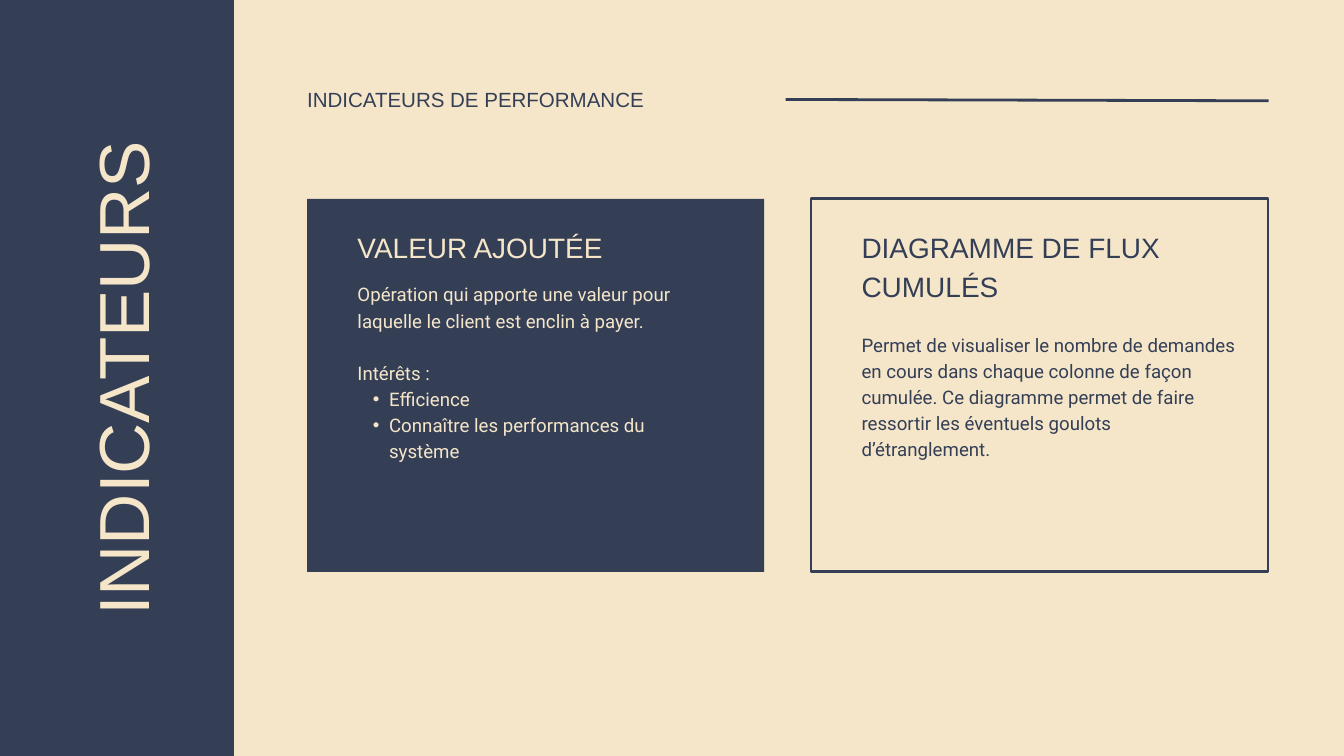
from lxml import etree
from pptx import Presentation
from pptx.dml.color import RGBColor
from pptx.enum.shapes import MSO_CONNECTOR, MSO_SHAPE
from pptx.enum.text import MSO_ANCHOR, MSO_AUTO_SIZE, PP_ALIGN
from pptx.oxml.ns import qn
from pptx.util import Inches, Pt

RECT = MSO_SHAPE.RECTANGLE
LINE = MSO_CONNECTOR.STRAIGHT
TOP = MSO_ANCHOR.TOP
FIXED = MSO_AUTO_SIZE.NONE
LEFT, CENTER = PP_ALIGN.LEFT, PP_ALIGN.CENTER
NAVY = RGBColor(0x34, 0x3F, 0x56)
CREAM = RGBColor(0xF5, 0xE6, 0xCA)
HEAD, BODY = "Arial", "Roboto"

TITLE = "INDICATEURS"
TOPIC = "INDICATEURS DE PERFORMANCE"
CARDS = [
    {
        "head": "VALEUR AJOUTÉE",
        "head_size": (4.83, 0.61),
        "body": [
            "Opération qui apporte une valeur pour laquelle le client est enclin à payer.",
            "Intérêts :",
        ],
        "points": ["Efficience", "Connaître les performances du système"],
        "body_box": (4.16, 5.33, 3.09),
        "solid": True,
    },
    {
        "head": "DIAGRAMME DE FLUX CUMULÉS",
        "head_size": (5.05, 1.22),
        "body": [
            "Permet de visualiser le nombre de demandes en cours dans chaque colonne "
            "de façon cumulée. Ce diagramme permet de faire ressortir les éventuels "
            "goulots d’étranglement."
        ],
        "points": [],
        "body_box": (4.91, 5.59, 2.32),
        "solid": False,
    },
]
CARD_X, CARD_Y, CARD_W, CARD_H = 4.57, 2.96, 6.8, 5.55
STEP, PAD = 7.5, 0.75


def place(shape, box):
    shape.left, shape.top, shape.width, shape.height = map(Inches, box)


def write(shape, lines, font, size, color, align=LEFT):
    frame = shape.text_frame
    frame.text = "\n".join(lines)
    frame.word_wrap = True
    frame.auto_size = FIXED
    frame.vertical_anchor = TOP
    frame.margin_left = frame.margin_right = 0
    frame.margin_top = frame.margin_bottom = 0
    for para in frame.paragraphs:
        para.alignment = align
        para.line_spacing = Pt(size * 1.4)
        for run in para.runs:
            run.font.name = font
            run.font.size = Pt(size)
            run.font.color.rgb = color
    return frame.paragraphs


def add_text(slide, box, lines, font, size, color):
    shape = slide.shapes.add_textbox(*map(Inches, box))
    return write(shape, lines, font, size, color)


def add_rect(slide, box, solid):
    shape = slide.shapes.add_shape(RECT, *map(Inches, box))
    shape.shadow.inherit = False
    if solid:
        shape.fill.solid()
        shape.fill.fore_color.rgb = NAVY
        shape.line.fill.background()
    else:
        shape.fill.background()
        shape.line.color.rgb = NAVY
        shape.line.width = Pt(3)


def add_bullet(para):
    props = para._p.get_or_add_pPr()
    props.set("lvl", "1")
    props.set("marL", str(Inches(0.47)))
    props.set("indent", str(Inches(-0.24)))
    etree.SubElement(props, qn("a:buFont")).set("typeface", "Arial")
    etree.SubElement(props, qn("a:buChar")).set("char", "•")


def add_card(slide, x, card):
    add_rect(slide, (x, CARD_Y, CARD_W, CARD_H), card["solid"])
    color = CREAM if card["solid"] else NAVY
    left = x + PAD
    add_text(slide, (left, 3.35, *card["head_size"]), [card["head"]], HEAD, 30, color)
    top, width, height = card["body_box"]
    body, points = card["body"], card["points"]
    paras = add_text(slide, (left, top, width, height), body + points, BODY, 20, color)
    for para in paras[1:len(body)]:
        para.space_before = Pt(28)
    for para in paras[len(body):]:
        add_bullet(para)


def main():
    deck = Presentation()
    deck.slide_width, deck.slide_height = Inches(20), Inches(11.25)
    slide = deck.slides.add_slide(deck.slide_layouts[5])
    slide.background.fill.solid()
    slide.background.fill.fore_color.rgb = CREAM

    add_rect(slide, (-0.49, -0.58, 3.97, 12.45), True)
    title = slide.shapes.title
    slide.shapes._spTree.append(title._element)
    place(title, (-2.79, 4.88, 9, 1.5))
    title.rotation = 270
    write(title, [TITLE], HEAD, 76, CREAM, CENTER)

    add_text(slide, (CARD_X, 1.23, 5.61, 0.43), [TOPIC], HEAD, 22, NAVY)
    rule = slide.shapes.add_connector(LINE, *map(Inches, (11.69, 1.48, 18.88, 1.5)))
    rule.line.color.rgb = NAVY
    rule.line.width = Pt(3)
    etree.SubElement(rule._element.spPr, qn("a:effectLst"))

    for i, card in enumerate(CARDS):
        add_card(slide, CARD_X + i * STEP, card)
    deck.save("out.pptx")


if __name__ == "__main__":
    main()
